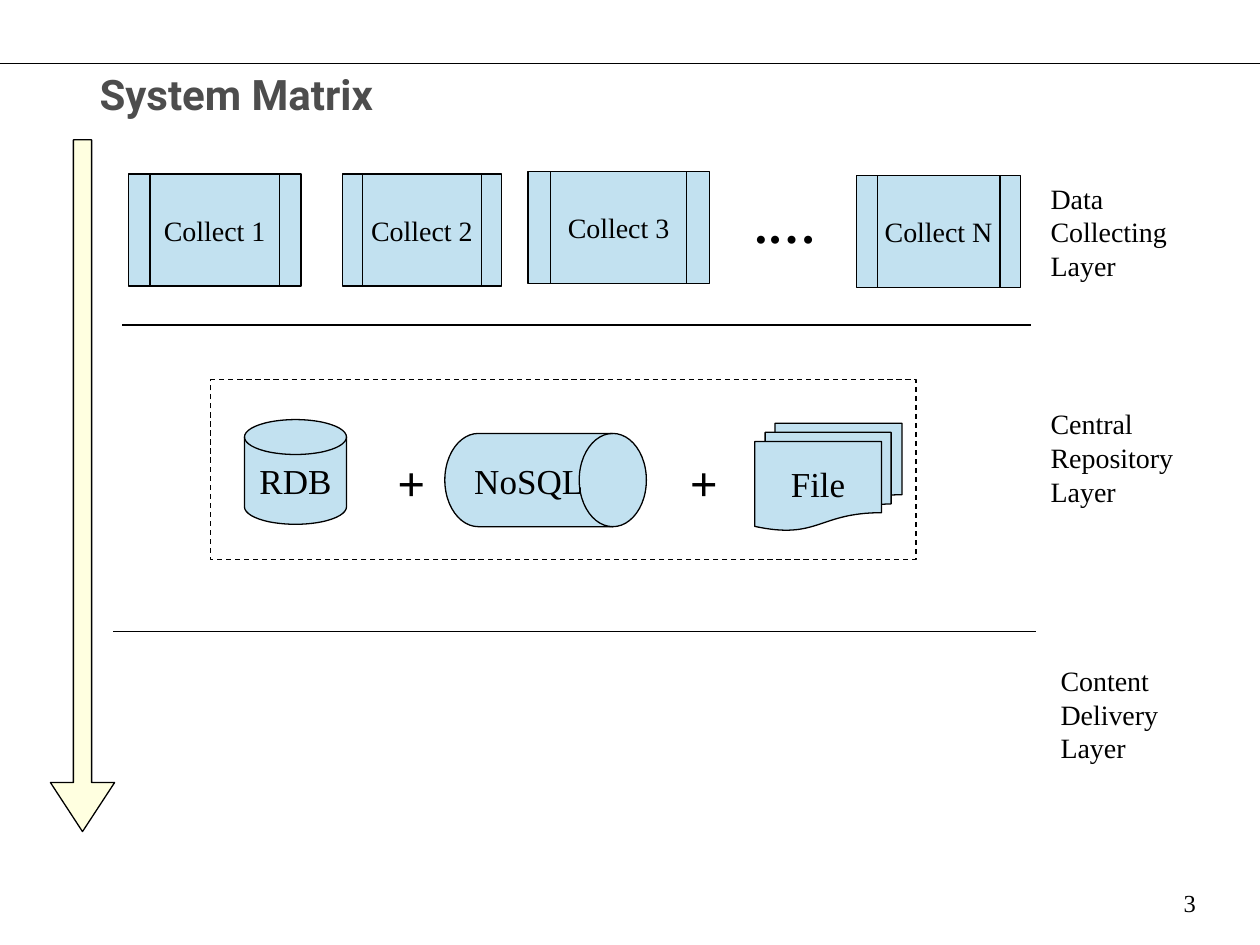
from pptx import Presentation
from pptx.dml.color import RGBColor
from pptx.enum.dml import MSO_LINE
from pptx.enum.shapes import MSO_CONNECTOR, MSO_SHAPE
from pptx.enum.text import MSO_ANCHOR, PP_ALIGN
from pptx.oxml.ns import qn
from pptx.util import Pt
from lxml.etree import SubElement

BLACK = "000000"
PALE_BLUE = "C2E1F0"
PALE_YELLOW = "FFFFCC"
TITLE_GREY = "4D4D4D"
SERIF = "Times New Roman"


def color(hex_value):
    return RGBColor.from_string(hex_value)


def write(shape, wording, size, align=PP_ALIGN.LEFT, anchor=MSO_ANCHOR.TOP,
          bold=False, wrap=True, font_name=SERIF, ink=BLACK):
    frame = shape.text_frame
    frame.text = wording
    frame.word_wrap = wrap
    frame.vertical_anchor = anchor
    paragraph = frame.paragraphs[0]
    paragraph.alignment = align
    font = paragraph.runs[0].font
    font.name = font_name
    font.size = Pt(size)
    font.bold = bold
    font.color.rgb = color(ink)


def add_title(slide, wording):
    title = slide.shapes.title
    title.left, title.top, title.width, title.height = Pt(49.7), Pt(8.6), Pt(635.8), Pt(90)
    write(title, wording, 24, anchor=MSO_ANCHOR.MIDDLE, bold=True,
          font_name="Roboto", ink=TITLE_GREY)


def add_rule(slide, left, right, y, weight=0.75):
    rule = slide.shapes.add_connector(MSO_CONNECTOR.STRAIGHT, Pt(left), Pt(y), Pt(right), Pt(y))
    rule.line.color.rgb = color(BLACK)
    rule.line.width = Pt(weight)
    SubElement(rule.element.spPr, qn("a:effectLst"))


def add_figure(slide, preset, box, fill=None):
    figure = slide.shapes.add_shape(preset, *map(Pt, box))
    figure.shadow.inherit = False
    if fill:
        figure.fill.solid()
        figure.fill.fore_color.rgb = color(fill)
    else:
        figure.fill.background()
    figure.line.color.rgb = color(BLACK)
    figure.line.width = Pt(0.75)
    return figure


def add_node(slide, preset, box, wording, size):
    node = add_figure(slide, preset, box, PALE_BLUE)
    write(node, wording, size, PP_ALIGN.CENTER, MSO_ANCHOR.MIDDLE, wrap=False)


def add_text(slide, box, wording, size, **style):
    write(slide.shapes.add_textbox(*map(Pt, box)), wording, size, **style)


def add_flow_arrow(slide):
    arrow = add_figure(slide, MSO_SHAPE.DOWN_ARROW, (28.8, 79.9, 36.7, 395.3), PALE_YELLOW)
    arrow.adjustments[0] = 0.284
    arrow.adjustments[1] = 0.764
    fill_color = arrow.element.spPr.find(qn("a:solidFill"))[0]
    SubElement(fill_color, qn("a:alpha"), val="60000")


def add_collectors(slide):
    collectors = [
        ("Collect 1", 73.4, 99.4, 98.6),
        ("Collect 2", 195.8, 99.4, 90.7),
        ("Collect 3", 301.7, 97.9, 103.7),
        ("Collect N", 489.6, 100.1, 93.6),
    ]
    for wording, left, top, width in collectors:
        add_node(slide, MSO_SHAPE.FLOWCHART_PREDEFINED_PROCESS,
                 (left, top, width, 64.1), wording, 16)
    add_text(slide, (419, 107.3, 59.8, 41), ".…", 28, align=PP_ALIGN.CENTER,
             anchor=MSO_ANCHOR.MIDDLE, bold=True)


def add_repository(slide):
    stores = [
        ("RDB", MSO_SHAPE.FLOWCHART_MAGNETIC_DISK, (139.7, 239.8, 58.3, 59.8)),
        ("NoSQL", MSO_SHAPE.FLOWCHART_DIRECT_ACCESS_STORAGE, (254.2, 247.7, 115.2, 53.3)),
        ("File", MSO_SHAPE.FLOWCHART_MULTIDOCUMENT, (431.3, 241.9, 84.2, 61.2)),
    ]
    for wording, preset, box in stores:
        add_node(slide, preset, box, wording, 20)
    boundary = add_figure(slide, MSO_SHAPE.FLOWCHART_PROCESS, (120.2, 216.7, 403.2, 103))
    boundary.line.dash_style = MSO_LINE.DASH
    for plus_left in (216.7, 383.8):
        add_text(slide, (plus_left, 254.9, 36.7, 41), "+", 28,
                 align=PP_ALIGN.CENTER, bold=True)


def main():
    deck = Presentation()
    deck.slide_width, deck.slide_height = Pt(720), Pt(540)
    slide = deck.slides.add_slide(deck.slide_layouts[5])

    add_rule(slide, 0, 720, 36, weight=0.25)
    add_title(slide, "System Matrix")
    add_rule(slide, 69.8, 589, 185.8)
    add_rule(slide, 64.8, 591.8, 360.7)
    add_flow_arrow(slide)

    layers = [
        ("Data Collecting Layer", 593.3, 100.1),
        ("Central Repository Layer", 593.3, 229),
        ("Content Delivery Layer", 599, 375.8),
    ]
    for wording, left, top in layers:
        add_text(slide, (left, top, 98.2, 64.8), wording, 16)

    add_collectors(slide)
    add_repository(slide)
    add_text(slide, (516.2, 504, 174.2, 36), "3", 14, align=PP_ALIGN.RIGHT)
    deck.save("out.pptx")


if __name__ == "__main__":
    main()
